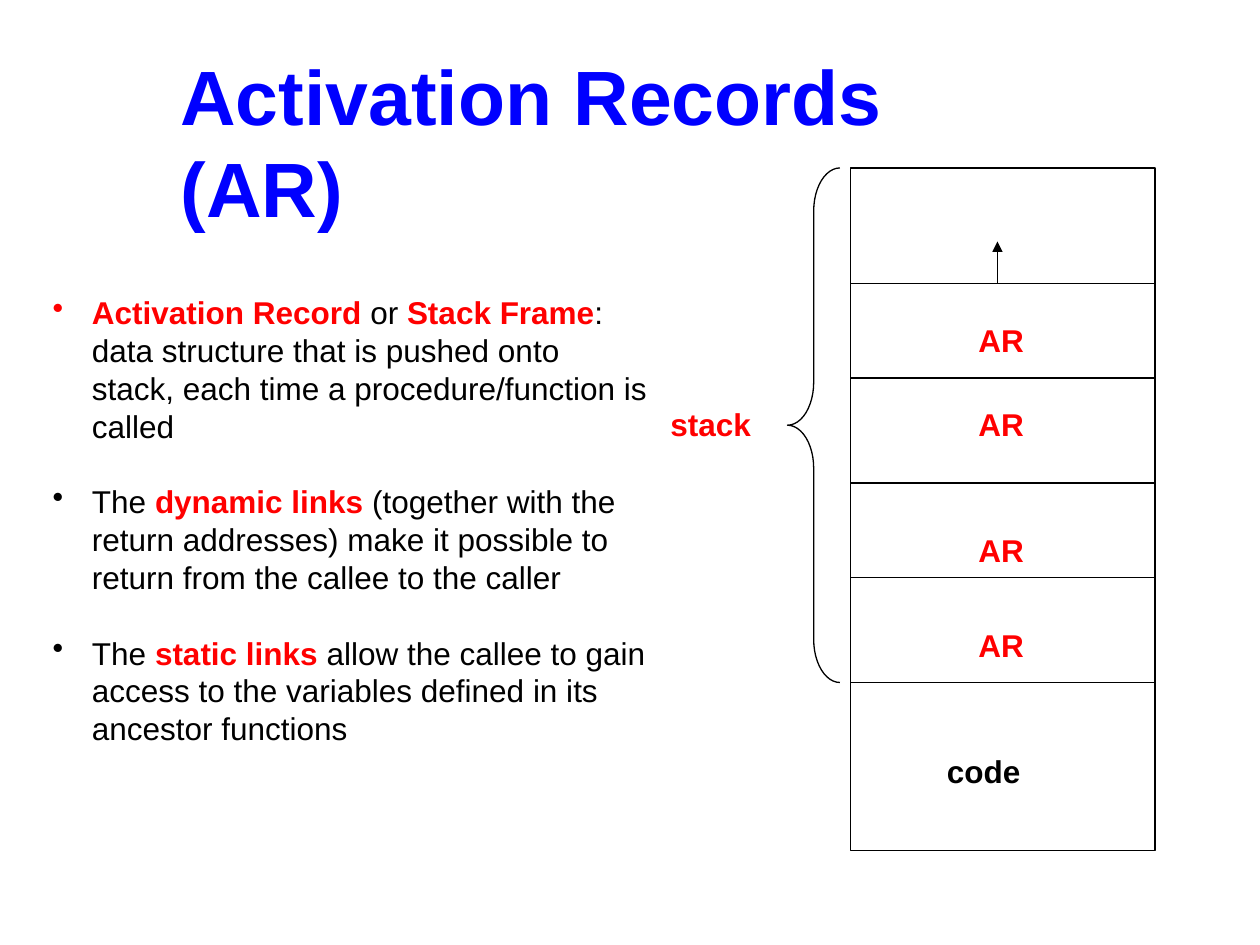
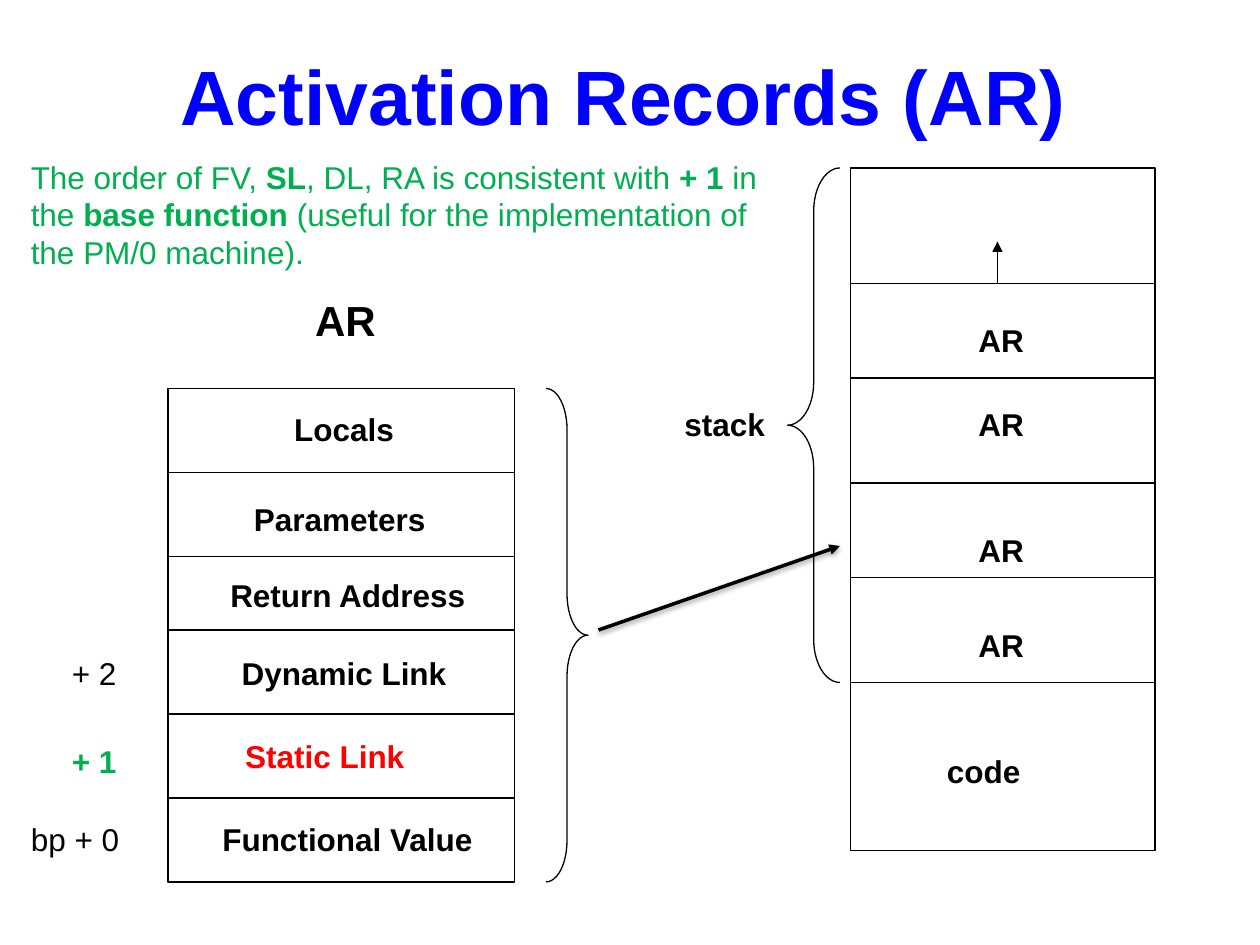
from dataclasses import dataclass

from lxml import etree
from pptx import Presentation
from pptx.dml.color import RGBColor
from pptx.enum import shapes, text
from pptx.oxml import ns
from pptx.util import Pt


@dataclass(frozen=True)
class Theme:
    font: str = "Arial"
    black: str = "000000"
    red: str = "FF0000"
    blue: str = "0000FF"
    green: str = "00B050"
    title: int = 44
    head: int = 24
    body: int = 18
    thin: float = 0.75
    thick: float = 2
    line: float = 21.6
    hang: float = 22.5


T = Theme()
HEADING = "Activation Records (AR)"


# Text
def put(para, words, color=T.black, bold=False, size=T.body):
    run = para.add_run()
    run.text = words
    font = run.font
    font.name, font.size, font.bold = T.font, Pt(size), bold
    font.color.rgb = RGBColor.from_string(color)


def frame(slide, x, y, w, h, wrap=True):
    box = slide.shapes.add_textbox(Pt(x), Pt(y), Pt(w), Pt(h))
    box.text_frame.word_wrap = wrap
    box.text_frame.auto_size = text.MSO_AUTO_SIZE.SHAPE_TO_FIT_TEXT
    return box.text_frame


def label(slide, words, x, y, w, color=T.black, bold=True, size=T.body):
    body = frame(slide, x, y, w, size * 1.2 + 7.2, wrap=False)
    put(body.paragraphs[0], words, color, bold, size)


def title(slide, w):
    body = frame(slide, 96, 24, w, 60)
    put(body.paragraphs[0], HEADING, T.blue, True, T.title)


def bullet(para):
    props = para._p.get_or_add_pPr()
    props.set("marL", str(Pt(T.hang)))
    props.set("indent", str(-Pt(T.hang)))
    etree.SubElement(props, ns.qn("a:buChar"), char="•")


def points(slide, items, x, y, w, h):
    body = frame(slide, x, y, w, h)
    body.margin_top = Pt(3.6 + T.line)
    for i, runs in enumerate(items):
        para = body.add_paragraph() if i else body.paragraphs[0]
        if i:
            para.space_before = Pt(T.line)
        bullet(para)
        for words, key in runs:
            put(para, words, T.red if key else T.black, key)


# Lines and outlines
def pen(shape, width=T.thin):
    shape.line.color.rgb = RGBColor.from_string(T.black)
    shape.line.width = Pt(width)


def shade(fx):
    glow = etree.SubElement(fx, ns.qn("a:outerShdw"), blurRad=str(Pt(3.15)),
                            dist=str(Pt(1.57)), dir="5400000", rotWithShape="0")
    tint = etree.SubElement(glow, ns.qn("a:srgbClr"), val=T.black)
    etree.SubElement(tint, ns.qn("a:alpha"), val="38000")


def line(slide, x1, y1, x2, y2, width=T.thin, arrow=False, shadow=False):
    link = slide.shapes.add_connector(
        shapes.MSO_CONNECTOR.STRAIGHT, Pt(x1), Pt(y1), Pt(x2), Pt(y2))
    pen(link, width)
    if arrow:
        etree.SubElement(link.line._get_or_add_ln(), ns.qn("a:tailEnd"),
                         type="triangle")
    fx = etree.SubElement(link._element.spPr, ns.qn("a:effectLst"))
    if shadow:
        shade(fx)


def shape(slide, kind, x, y, w, h):
    item = slide.shapes.add_shape(kind, Pt(x), Pt(y), Pt(w), Pt(h))
    item.shadow.inherit = False
    item.fill.background()
    pen(item)
    return item


def brace(slide, kind, x, y, w, h, curve):
    item = shape(slide, kind, x, y, w, h)
    item.adjustments[0], item.adjustments[1] = curve, 0.5


def cells(slide, x, y, w, h, cuts):
    shape(slide, shapes.MSO_SHAPE.RECTANGLE, x, y, w, h)
    for cut in cuts:
        line(slide, x, cut, x + w, cut)


# Program stack, on both slides
def stack(slide, x, color):
    cells(slide, 486, 96, 174, 390, (162, 216, 276, 330, 390))
    line(slide, 570, 162, 570, 138, arrow=True)
    for y in (180, 228, 300, 354):
        label(slide, "AR", 552, y, 40.3, color)
    label(slide, "code", 534, 426, 57)
    label(slide, "stack", x, 228, 61, color)
    brace(slide, shapes.MSO_SHAPE.LEFT_BRACE, 450, 96, 30, 294, 0.82)


# One activation record in detail
def record(slide):
    cells(slide, 96, 222, 198, 282, (270, 318, 360, 408, 456))
    label(slide, "AR", 173, 165, 49, size=T.head)
    fields = (
        ("Locals", 161, 231, 72, T.black),
        ("Parameters", 138, 282, 114, T.black),
        ("Return Address", 124.5, 325.5, 150.5, T.black),
        ("Dynamic Link", 131, 370, 132.5, T.black),
        ("Static Link", 133, 417.5, 106.5, T.red),
        ("Functional Value", 120, 465, 159, T.black),
    )
    for name, x, y, w, color in fields:
        label(slide, name, x, y, w, color)
    label(slide, "+ 2", 34, 370, 40.3, bold=False)
    label(slide, "+ 1", 34, 420.5, 40.3, T.green)
    label(slide, "bp + 0", 10.5, 465, 65.5, bold=False)
    brace(slide, shapes.MSO_SHAPE.RIGHT_BRACE, 312, 222, 24, 282, 0.98)
    line(slide, 342, 360, 480, 312, T.thick, arrow=True, shadow=True)


def note(slide, runs):
    para = frame(slide, 10.5, 86.5, 433.5, 72.5).paragraphs[0]
    for words, bold in runs:
        put(para, words, T.green, bold)


def main():
    deck = Presentation()
    deck.slide_width, deck.slide_height = Pt(720), Pt(540)
    blank = deck.slide_layouts[6]

    # Definitions
    first = deck.slides.add_slide(blank)
    title(first, 515)
    stack(first, 376, T.red)
    points(first, (
        (("Activation Record ", True), ("or ", False), ("Stack Frame", True),
         (": data structure that is pushed onto stack, each time a "
          "procedure/function is called", False)),
        (("The ", False), ("dynamic links", True),
         (" (together with the return addresses) make it possible to return "
          "from the callee to the caller", False)),
        (("The ", False), ("static links", True),
         (" allow the callee to gain access to the variables defined in its "
          "ancestor functions", False)),
    ), 23, 142.5, 354.5, 312.5)

    # Layout of a record
    second = deck.slides.add_slide(blank)
    title(second, 526)
    stack(second, 384, T.black)
    record(second)
    note(second, (
        ("The order of FV, ", False), ("SL", True),
        (", DL, RA is consistent with ", False), ("+ 1", True),
        (" in the ", False), ("base function ", True),
        ("(useful for the implementation of the PM/0 machine).", False),
    ))

    deck.save("out.pptx")


if __name__ == "__main__":
    main()
